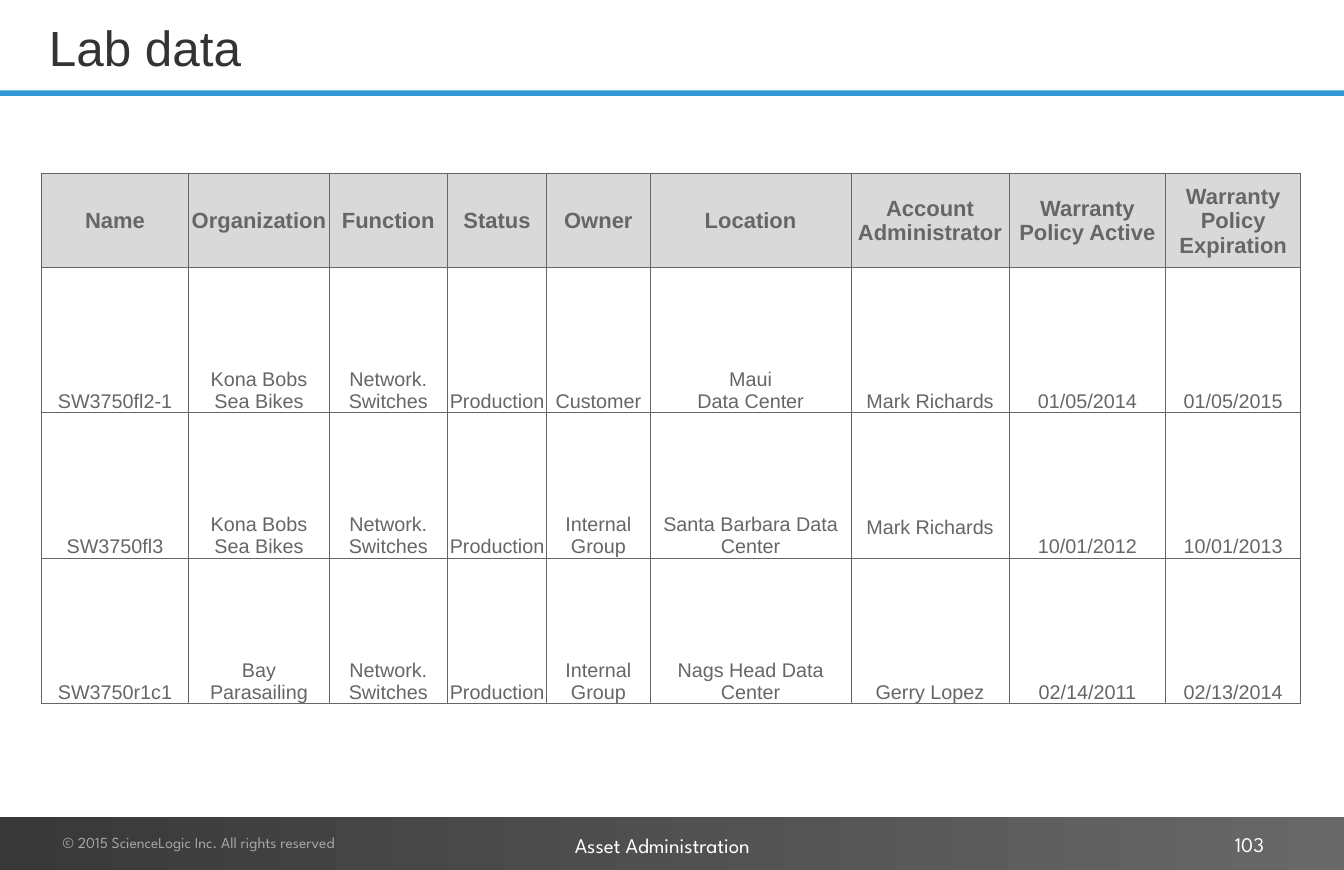
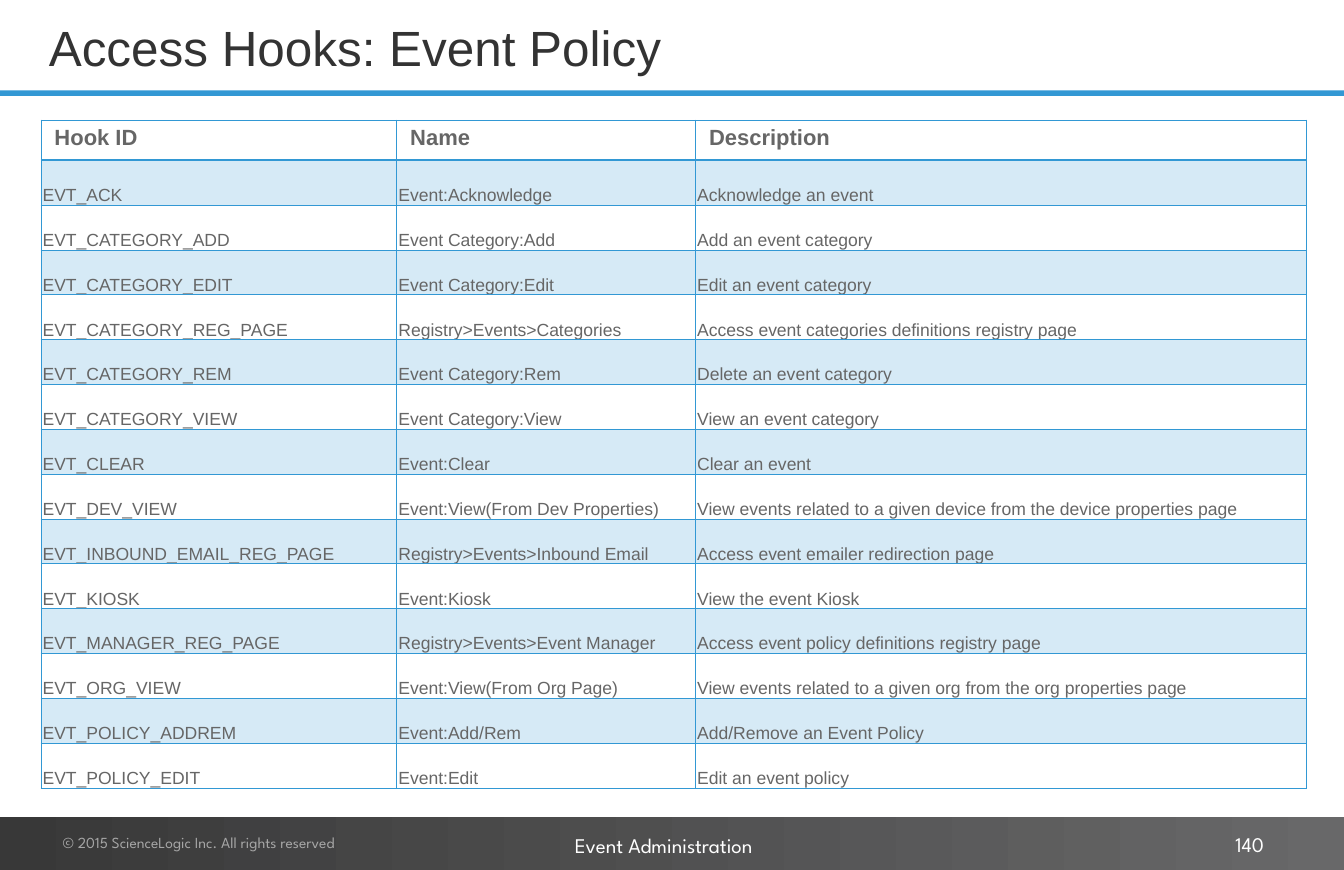
from lxml import etree
from pptx import Presentation
from pptx.dml.color import RGBColor
from pptx.enum.shapes import MSO_SHAPE
from pptx.enum.text import MSO_ANCHOR, PP_ALIGN
from pptx.oxml.ns import qn
from pptx.util import Cm, Pt

RECTANGLE = MSO_SHAPE.RECTANGLE
TOP, MIDDLE, BOTTOM = MSO_ANCHOR.TOP, MSO_ANCHOR.MIDDLE, MSO_ANCHOR.BOTTOM
LEFT, CENTER, RIGHT = PP_ALIGN.LEFT, PP_ALIGN.CENTER, PP_ALIGN.RIGHT

COLORS = {
    "title": "333333",
    "blue": "3298D4",
    "pale_blue": "D6EAF6",
    "gray": "666666",
    "light_gray": "D9D9D9",
    "footer_start": "383838",
    "footer_end": "686869",
    "copyright": "A6A6A6",
    "white": "FFFFFF",
}
BODY_FONT = "Arial"
FOOTER_FONT = "League Spartan"

TABLE_SLIDES = [
    {
        "title": "Lab data",
        "section": "Asset Administration",
        "page": "103",
        "top": 5.56,
        "columns": [4.75, 4.5, 3.81, 3.18, 3.33, 6.45, 5.08, 5.03, 4.34],
        "header_height": 3.02,
        "row_height": 4.67,
        "border": "gray",
        "header_border": 1,
        "header_fill": "light_gray",
        "band_fill": None,
        "header_anchor": MIDDLE,
        "header_insets": (0.05, 0.05),
        "align": CENTER,
        "size": 18,
        "raised_cells": {(2, 6): 0.61},
        "rows": [
            ["Name", "Organization", "Function", "Status", "Owner", "Location",
             "Account Administrator", "Warranty Policy Active",
             "Warranty Policy Expiration"],
            ["SW3750fl2-1", "Kona Bobs Sea Bikes", "Network. Switches",
             "Production", "Customer", "Maui\nData Center",
             "Mark Richards", "01/05/2014", "01/05/2015"],
            ["SW3750fl3", "Kona Bobs Sea Bikes", "Network. Switches",
             "Production", "Internal Group", "Santa Barbara Data Center",
             "Mark Richards", "10/01/2012", "10/01/2013"],
            ["SW3750r1c1", "Bay Parasailing", "Network. Switches",
             "Production", "Internal Group", "Nags Head Data Center",
             "Gerry Lopez", "02/14/2011", "02/13/2014"],
        ],
    },
    {
        "title": "Access Hooks: Event Policy",
        "section": "Event Administration",
        "page": "140",
        "top": 3.86,
        "columns": [11.43, 9.6, 19.61],
        "header_height": 1.29,
        "row_height": 1.44,
        "border": "blue",
        "header_border": 2,
        "header_fill": None,
        "band_fill": "pale_blue",
        "header_anchor": TOP,
        "header_insets": (0.43, 0.18),
        "align": LEFT,
        "size": 16,
        "raised_cells": {},
        "rows": [
            ["Hook ID", "Name", "Description"],
            ["EVT_ACK", "Event:Acknowledge", "Acknowledge an event"],
            ["EVT_CATEGORY_ADD", "Event Category:Add", "Add an event category"],
            ["EVT_CATEGORY_EDIT", "Event Category:Edit", "Edit an event category"],
            ["EVT_CATEGORY_REG_PAGE", "Registry>Events>Categories",
             "Access event categories definitions registry page"],
            ["EVT_CATEGORY_REM", "Event Category:Rem", "Delete an event category"],
            ["EVT_CATEGORY_VIEW", "Event Category:View", "View an event category"],
            ["EVT_CLEAR", "Event:Clear", "Clear an event"],
            ["EVT_DEV_VIEW", "Event:View(From Dev Properties)",
             "View events related to a given device from the device properties page"],
            ["EVT_INBOUND_EMAIL_REG_PAGE", "Registry>Events>Inbound Email",
             "Access event emailer redirection page"],
            ["EVT_KIOSK", "Event:Kiosk", "View the event Kiosk"],
            ["EVT_MANAGER_REG_PAGE", "Registry>Events>Event Manager",
             "Access event policy definitions registry page"],
            ["EVT_ORG_VIEW", "Event:View(From Org Page)",
             "View events related to a given org from the org properties page"],
            ["EVT_POLICY_ADDREM", "Event:Add/Rem", "Add/Remove an Event Policy"],
            ["EVT_POLICY_EDIT", "Event:Edit", "Edit an event policy"],
        ],
    },
]


def write_text(text_frame, text, font_name, size, color, align=LEFT, bold=False):
    for index, line in enumerate(text.split("\n")):
        paragraph = text_frame.add_paragraph() if index else text_frame.paragraphs[0]
        paragraph.alignment = align
        run = paragraph.add_run()
        run.text = line
        run.font.name = font_name
        run.font.size = Pt(size)
        run.font.bold = bold
        run.font.color.rgb = RGBColor.from_string(COLORS[color])


def set_borders(cell, color, widths):
    properties = cell._tc.get_or_add_tcPr()
    for side, width in widths.items():
        line = etree.SubElement(properties, qn(f"a:ln{side}"), w=str(Pt(width)))
        fill = etree.SubElement(line, qn("a:solidFill"))
        etree.SubElement(fill, qn("a:srgbClr"), val=COLORS[color])


presentation = Presentation()
presentation.slide_width = Cm(43.18)
presentation.slide_height = Cm(27.94)

for content in TABLE_SLIDES:
    slide = presentation.slides.add_slide(presentation.slide_layouts[6])

    title_rule, footer_band = [
        slide.shapes.add_shape(RECTANGLE, 0, Cm(top), presentation.slide_width, Cm(height))
        for top, height in [(2.9, 0.18), (26.24, 1.7)]
    ]
    for shape in (title_rule, footer_band):
        shape.shadow.inherit = False
        shape.line.fill.background()
    title_rule.fill.solid()
    title_rule.fill.fore_color.rgb = RGBColor.from_string(COLORS["blue"])
    footer_band.fill.gradient()
    footer_band.fill.gradient_angle = 0
    for stop, color in zip(footer_band.fill.gradient_stops, ("footer_start", "footer_end")):
        stop.color.rgb = RGBColor.from_string(COLORS[color])

    copyright_line = "© 2015 ScienceLogic Inc. All rights reserved"
    for text, box, insets, anchor, align, font_name, size, color in [
        (content["title"], (1.32, 0.03, 37.72, 2.97), (0.25, 0.13),
         MIDDLE, LEFT, BODY_FONT, 45, "title"),
        (copyright_line, (1.6, 26.57, 12.7, 1.02), (0.41, 0.2),
         TOP, LEFT, FOOTER_FONT, 14, "copyright"),
        (content["section"], (18.06, 26.54, 8, 1.22), (0.41, 0.2),
         TOP, LEFT, FOOTER_FONT, 19, "white"),
        (content["page"], (30.94, 26.57, 10.08, 1.09), (0.41, 0.2),
         MIDDLE, RIGHT, FOOTER_FONT, 19, "white"),
    ]:
        text_frame = slide.shapes.add_textbox(*map(Cm, box)).text_frame
        text_frame.word_wrap = True
        text_frame.vertical_anchor = anchor
        text_frame.margin_left = text_frame.margin_right = Cm(insets[0])
        text_frame.margin_top = text_frame.margin_bottom = Cm(insets[1])
        write_text(text_frame, text, font_name, size, color, align)

    rows, columns = content["rows"], content["columns"]
    heights = [content["header_height"]] + [content["row_height"]] * (len(rows) - 1)
    table = slide.shapes.add_table(
        len(rows), len(columns), Cm(1.32), Cm(content["top"]),
        Cm(sum(columns)), Cm(sum(heights)),
    ).table
    table.first_row = False
    table.horz_banding = False
    for column, width in zip(table.columns, columns):
        column.width = Cm(width)
    for row, height in zip(table.rows, heights):
        row.height = Cm(height)

    for row_index, row in enumerate(rows):
        is_header = row_index == 0
        top_border = content["header_border"] if row_index == 1 else 1
        bottom_border = content["header_border"] if is_header else 1
        fill_color = content["header_fill"] if is_header else None
        if row_index % 2:
            fill_color = content["band_fill"]
        side_inset, top_inset = content["header_insets"] if is_header else (0.05, 0.05)
        for column_index, text in enumerate(row):
            cell = table.cell(row_index, column_index)
            set_borders(cell, content["border"],
                        {"L": 1, "R": 1, "T": top_border, "B": bottom_border})
            if fill_color:
                cell.fill.solid()
                cell.fill.fore_color.rgb = RGBColor.from_string(COLORS[fill_color])
            else:
                cell.fill.background()
            cell.vertical_anchor = content["header_anchor"] if is_header else BOTTOM
            cell.margin_left = cell.margin_right = Cm(side_inset)
            cell.margin_top = Cm(top_inset)
            cell.margin_bottom = Cm(content["raised_cells"].get((row_index, column_index), 0))
            write_text(cell.text_frame, text, BODY_FONT,
                       20 if is_header else content["size"], "gray",
                       content["align"], is_header)

presentation.save("out.pptx")
